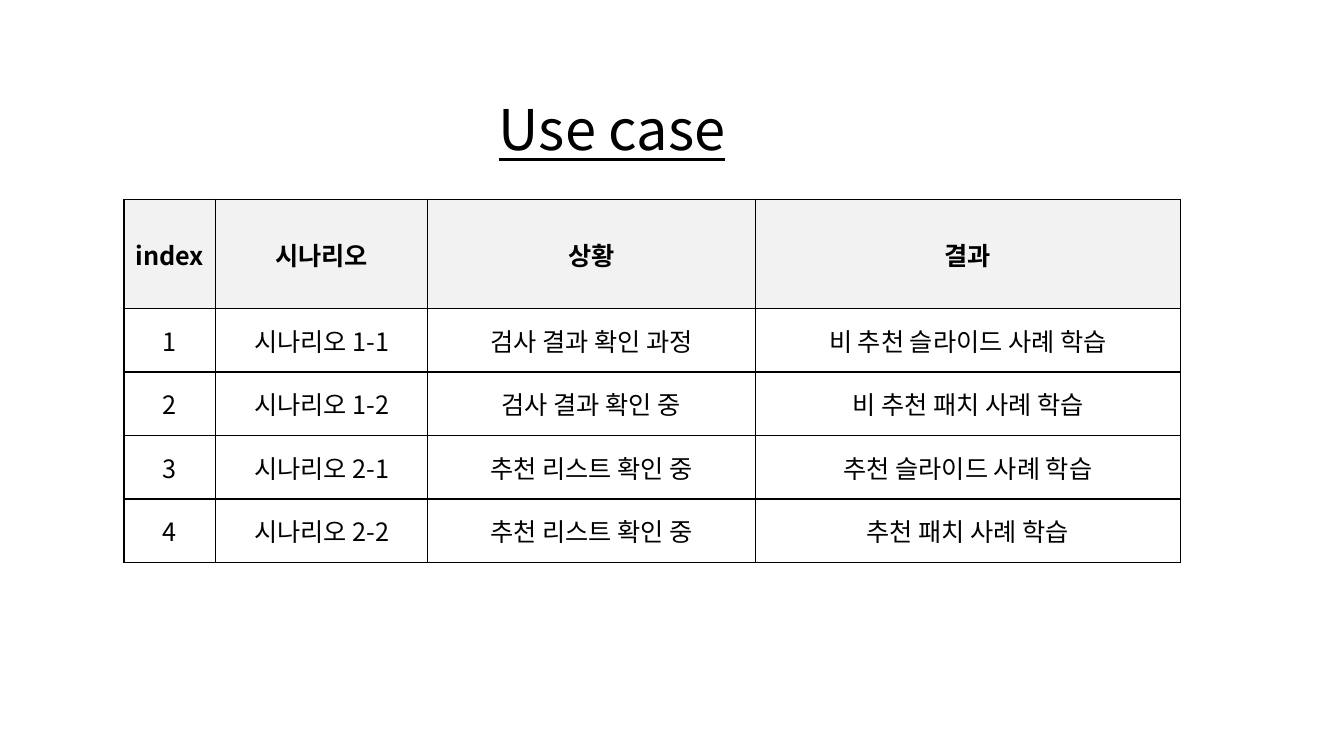
from typing import NamedTuple

from lxml.etree import SubElement
from pptx import Presentation
from pptx.dml.color import RGBColor
from pptx.enum.text import MSO_ANCHOR as Anchor, PP_ALIGN as Align
from pptx.oxml.ns import qn
from pptx.slide import Slide
from pptx.table import _Cell as Cell
from pptx.text.text import TextFrame
from pptx.util import Emu, Pt

EMU_PER_PX = 9144
FONT = "Noto Sans CJK KR"
BLACK = RGBColor(0x00, 0x00, 0x00)
WHITE = RGBColor(0xFF, 0xFF, 0xFF)
HEADER_GRAY = RGBColor(0xF2, 0xF2, 0xF2)

TITLE_FORMAT = {"size": Pt(40), "underline": True}
HEADER_FORMAT = {"size": Pt(18), "bold": True}
BODY_FORMAT = {"size": Pt(18), "bold": False}


class Box(NamedTuple):
    left: int
    top: int
    width: int
    height: int


class UseCase(NamedTuple):
    index: str
    scenario: str
    situation: str
    result: str


TITLE_BOX = Box(450, 89, 314, 77)
TABLE_LEFT, TABLE_TOP = 123, 198
COLUMN_WIDTHS = [91, 210, 325, 422]
HEADER_HEIGHT, BODY_HEIGHT = 108, 63

HEADER = UseCase("index", "시나리오", "상황", "결과")
USE_CASES = [
    UseCase("1", "시나리오 1-1", "검사 결과 확인 과정", "비 추천 슬라이드 사례 학습"),
    UseCase("2", "시나리오 1-2", "검사 결과 확인 중", "비 추천 패치 사례 학습"),
    UseCase("3", "시나리오 2-1", "추천 리스트 확인 중", "추천 슬라이드 사례 학습"),
    UseCase("4", "시나리오 2-2", "추천 리스트 확인 중", "추천 패치 사례 학습"),
]


def px(length: int) -> Emu:
    return Emu(length * EMU_PER_PX)


def write_text(frame: TextFrame, text: str, font_format: dict) -> None:
    """Write one centred line, using the same font for Latin and Korean."""
    paragraph = frame.paragraphs[0]
    paragraph.alignment = Align.CENTER
    run = paragraph.add_run()
    run.text = text
    run.font.color.rgb = BLACK
    for name, value in {"name": FONT, **font_format}.items():
        setattr(run.font, name, value)
    SubElement(run.font._element, qn("a:ea"), typeface=FONT)


def add_borders(cell: Cell) -> None:
    properties = cell._tc.get_or_add_tcPr()
    for position, side in enumerate(("lnL", "lnR", "lnT", "lnB")):
        line = SubElement(properties, qn(f"a:{side}"), w=str(Pt(1)))
        fill = SubElement(line, qn("a:solidFill"))
        SubElement(fill, qn("a:srgbClr"), val=str(BLACK))
        properties.insert(position, line)  # borders come before the cell fill


def add_title(slide: Slide) -> None:
    frame = slide.shapes.add_textbox(*map(px, TITLE_BOX)).text_frame
    frame.word_wrap = True
    frame.vertical_anchor = Anchor.MIDDLE
    write_text(frame, "Use case", TITLE_FORMAT)


def add_use_case_table(slide: Slide) -> None:
    rows = [HEADER, *USE_CASES]
    heights = [HEADER_HEIGHT] + [BODY_HEIGHT] * len(USE_CASES)
    box = Box(TABLE_LEFT, TABLE_TOP, sum(COLUMN_WIDTHS), sum(heights))
    table = slide.shapes.add_table(
        len(rows), len(COLUMN_WIDTHS), *map(px, box)
    ).table
    for column, width in zip(table.columns, COLUMN_WIDTHS):
        column.width = px(width)
    for table_row, height, use_case in zip(table.rows, heights, rows):
        table_row.height = px(height)
        is_header = use_case is HEADER
        for cell, text in zip(table_row.cells, use_case):
            cell.vertical_anchor = Anchor.MIDDLE
            cell.fill.solid()
            cell.fill.fore_color.rgb = HEADER_GRAY if is_header else WHITE
            add_borders(cell)
            write_text(
                cell.text_frame, text, HEADER_FORMAT if is_header else BODY_FORMAT
            )


def main() -> None:
    presentation = Presentation()
    presentation.slide_width = px(1333)
    presentation.slide_height = px(750)
    slide = presentation.slides.add_slide(presentation.slide_layouts[6])
    add_use_case_table(slide)
    add_title(slide)
    presentation.save("out.pptx")


if __name__ == "__main__":
    main()
